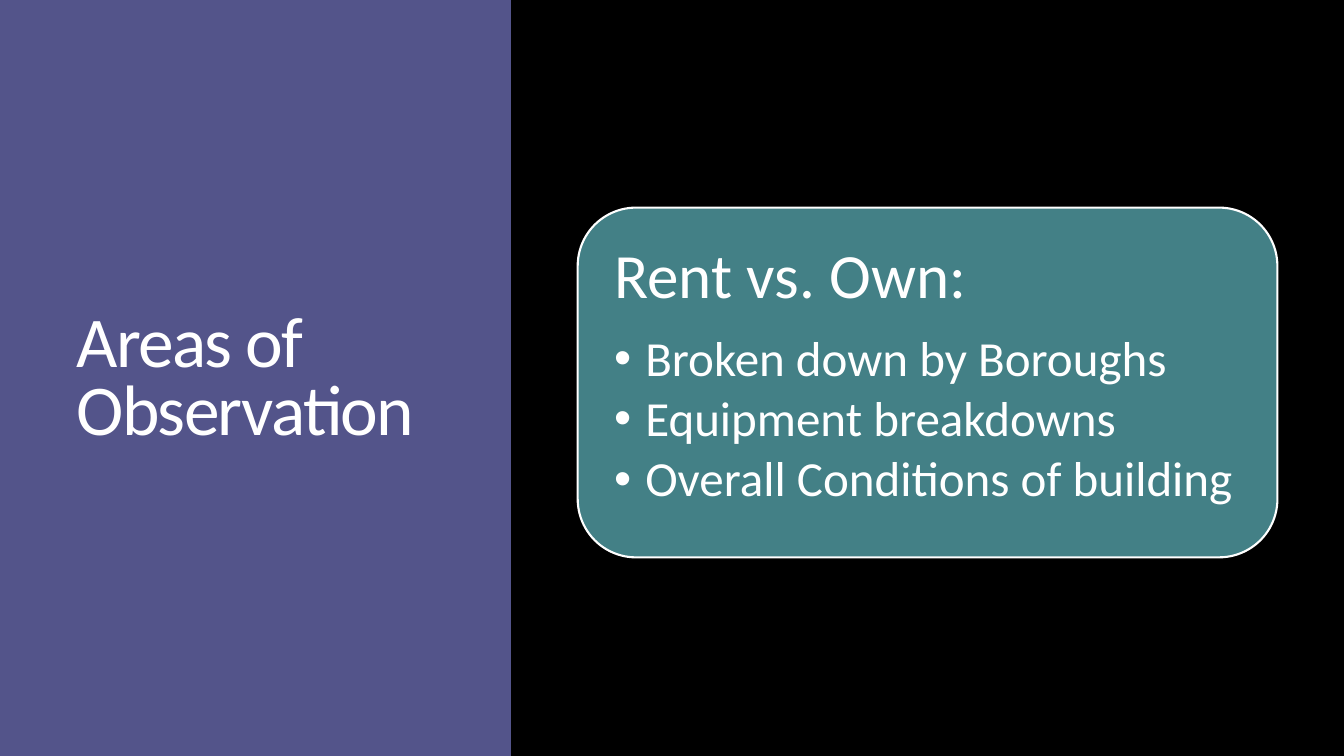
"""Build the slide on areas of observation."""
from dataclasses import dataclass

from lxml import etree
from pptx import Presentation
from pptx.dml.color import RGBColor
from pptx.enum.shapes import MSO_SHAPE
from pptx.enum.text import MSO_ANCHOR, MSO_AUTO_SIZE, PP_ALIGN
from pptx.oxml.ns import qn
from pptx.slide import Slide
from pptx.util import Inches, Pt

RECT, ROUND = MSO_SHAPE.RECTANGLE, MSO_SHAPE.ROUNDED_RECTANGLE
TOP, BOTTOM = MSO_ANCHOR.TOP, MSO_ANCHOR.BOTTOM
LEFT, FIXED = PP_ALIGN.LEFT, MSO_AUTO_SIZE.NONE
WIDTH, HEIGHT = 13.33, 7.5
SPLIT = 5.07
WHITE = "FFFFFF"
FONT = "Calibri"
HEAD = "Rent vs. Own:"
ITEMS = (
    "Broken down by Boroughs",
    "Equipment breakdowns",
    "Overall Conditions of building",
)


@dataclass(frozen=True)
class Panel:
    """A filled area of the slide, in inches."""

    kind: MSO_SHAPE
    box: tuple[float, float, float, float]
    fill: str
    line: str = ""


PANELS = (
    Panel(RECT, (0, 0, WIDTH, HEIGHT), "53548A"),
    Panel(RECT, (SPLIT, 0, WIDTH - SPLIT, HEIGHT), "000000"),
    Panel(ROUND, (5.73, 2.06, 6.94, 3.47), "438086", WHITE),
)


def paint(target, code: str) -> None:
    """Give a fill or a font its colour from a hex string."""
    if hasattr(target, "solid"):
        target.solid()
        target.fore_color.rgb = RGBColor.from_string(code)
    else:
        target.color.rgb = RGBColor.from_string(code)


def draw(slide: Slide, panel: Panel) -> None:
    """Draw one panel."""
    shape = slide.shapes.add_shape(panel.kind, *map(Inches, panel.box))
    shape.shadow.inherit = False
    paint(shape.fill, panel.fill)
    if panel.line:
        paint(shape.line.fill, panel.line)
        shape.line.width = Pt(1.5)
    else:
        shape.line.fill.background()


def place(slide: Slide, holder, box: tuple, anchor: MSO_ANCHOR,
          inset: float | None = None):
    """Move a placeholder to the front and return its text frame."""
    holder.left, holder.top, holder.width, holder.height = map(Inches, box)
    slide.shapes.element.append(holder.element)
    frame = holder.text_frame
    frame.auto_size = FIXED
    frame.word_wrap = True
    frame.vertical_anchor = anchor
    if inset is not None:
        frame.margin_left = frame.margin_right = Inches(inset)
        frame.margin_top = frame.margin_bottom = Inches(inset)
    return frame


def write(para, text: str, *, size: float, lines: float = 0.9,
          after: float = 0, track: float = 0, level: int = 0,
          indent: float = 0, bullet: str = "") -> None:
    """Write text into a paragraph and format it."""
    para.alignment = LEFT
    para.level = level
    para.line_spacing = lines
    para.space_before = Pt(0)
    para.space_after = Pt(after)
    run = para.add_run()
    run.text = text
    run.font.name = FONT
    run.font.size = Pt(size)
    paint(run.font, WHITE)
    if track:
        run.font._element.set("spc", str(round(track * 100)))
    props = para._p.get_or_add_pPr()
    props.set("marL", str(Inches(indent)))
    props.set("indent", str(-Inches(indent)))
    if bullet:
        etree.SubElement(props, qn("a:buChar")).set("char", bullet)
    else:
        etree.SubElement(props, qn("a:buNone"))


def main() -> None:
    """Build and save the slide."""
    deck = Presentation()
    deck.slide_width, deck.slide_height = Inches(WIDTH), Inches(HEIGHT)
    slide = deck.slides.add_slide(deck.slide_layouts[1])
    for panel in PANELS:
        draw(slide, panel)

    title = place(slide, slide.shapes.title, (0.66, 0.84, 3.79, 3.67), BOTTOM)
    write(title.paragraphs[0], "Areas of Observation",
          size=51, lines=0.8, track=-1.2)

    body = place(slide, slide.placeholders[1], (5.9, 2.23, 6.61, 3.13),
                 TOP, inset=0.19)
    write(body.paragraphs[0], HEAD, size=45, after=15.75)
    for item in ITEMS:
        write(body.add_paragraph(), item, size=35, after=5.25,
              level=1, indent=0.31, bullet="•")
    deck.save("out.pptx")


if __name__ == "__main__":
    main()
